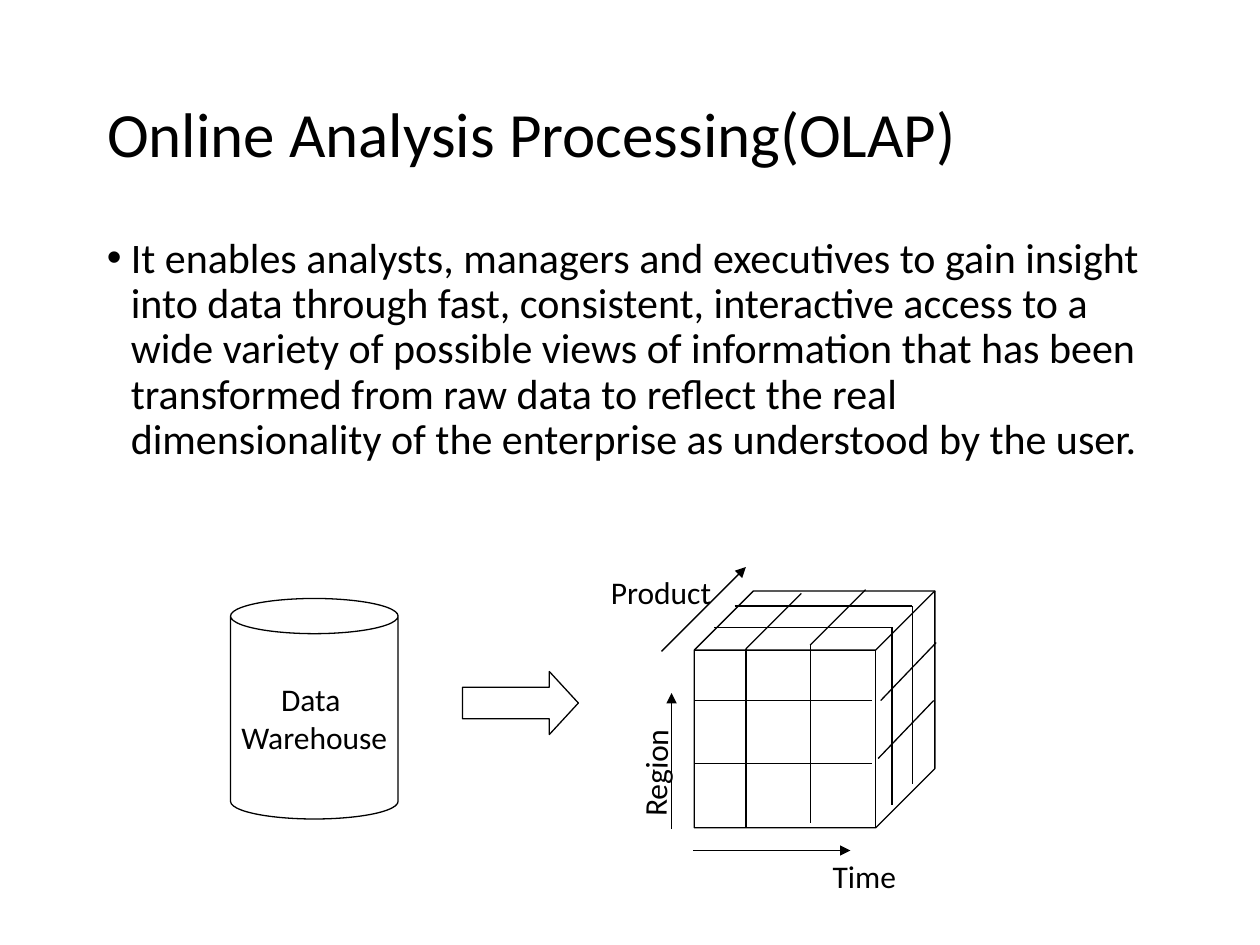
import pptx
import pptx.dml.color
import pptx.enum.shapes
import pptx.enum.text
import pptx.oxml
import pptx.oxml.ns
import pptx.util

COLUMNS, ROWS = 100, 75
INK = "000000"
SHAPES = pptx.enum.shapes.MSO_SHAPE
ALIGN = pptx.enum.text.PP_ALIGN
ANCHOR = pptx.enum.text.MSO_ANCHOR
AUTO_SIZE = pptx.enum.text.MSO_AUTO_SIZE


def color(value):
    return pptx.dml.color.RGBColor.from_string(value)


def add_element(parent, tag, **attributes):
    element = pptx.oxml.parse_xml(f"<a:{tag} {pptx.oxml.ns.nsdecls('a')}/>")
    for name, value in attributes.items():
        element.set(name, str(value))
    parent.append(element)


def write(frame, text, size=18, align=ALIGN.LEFT, anchor=ANCHOR.TOP,
          spacing=None, wrap=True, bullet=None):
    frame.word_wrap = wrap
    frame.auto_size = AUTO_SIZE.NONE
    frame.vertical_anchor = anchor
    for index, content in enumerate(text.split("\n")):
        paragraph = frame.add_paragraph() if index else frame.paragraphs[0]
        paragraph.text = content
        paragraph.alignment = align
        paragraph.line_spacing = spacing
        if bullet:
            properties = paragraph._p.get_or_add_pPr()
            indent = pptx.util.Inches(0.19)
            properties.set("marL", str(indent))
            properties.set("indent", str(-indent))
            add_element(properties, "buFont", typeface="Arial")
            add_element(properties, "buChar", char=bullet)
        paragraph.font.size = pptx.util.Pt(size)
        paragraph.font.name = "Calibri"
        paragraph.font.color.rgb = color(INK)


class Board:
    def __init__(self, deck):
        self.slide = deck.slides.add_slide(deck.slide_layouts[5])
        self.column = deck.slide_width / COLUMNS
        self.row = deck.slide_height / ROWS
        self.line_width = pptx.util.Pt(0.75)

    def place(self, *lengths):
        units = (self.column, self.row) * 2
        return [round(length * unit) for length, unit in zip(lengths, units)]

    def stroke(self, item):
        item.line.color.rgb = color(INK)
        item.line.width = self.line_width

    def title(self, text, *box):
        heading = self.slide.shapes.title
        heading.left, heading.top, heading.width, heading.height = self.place(*box)
        write(heading.text_frame, text, size=36, anchor=ANCHOR.MIDDLE, spacing=0.9)

    def text(self, text, *box, rotation=0, **style):
        label = self.slide.shapes.add_textbox(*self.place(*box))
        label.rotation = rotation
        write(label.text_frame, text, **style)

    def shape(self, kind, *box, adjustments=(), text=None):
        figure = self.slide.shapes.add_shape(kind, *self.place(*box))
        figure.shadow.inherit = False
        figure.fill.background()
        self.stroke(figure)
        for index, value in enumerate(adjustments):
            figure.adjustments[index] = value
        if text:
            write(figure.text_frame, text, align=ALIGN.CENTER,
                  anchor=ANCHOR.MIDDLE, wrap=False)

    def line(self, *ends, arrow=False):
        connector = self.slide.shapes.add_connector(
            pptx.enum.shapes.MSO_CONNECTOR.STRAIGHT, *self.place(*ends))
        self.stroke(connector)
        if arrow:
            add_element(connector.line._get_or_add_ln(), "tailEnd", type="triangle")
        add_element(connector._element.spPr, "effectLst")


def draw_cube(board):
    board.shape(SHAPES.CUBE, 55.1, 46.9, 19.1, 18.8, adjustments=[0.25])
    edge, depth = 14.1, 4.4
    for x, y in ((59.2, 51.5), (64.3, 51.2)):
        board.line(x, y, x, y + edge)
        board.line(x, y, x + depth, y - depth)
    for y in (55.6, 60.6):
        board.line(55.1, y, 55.1 + edge, y)
    for x, y in ((56.7, 49.8), (58.3, 48.1)):
        board.line(x, y, x + edge, y)
        board.line(x + edge, y, x + edge, y + edge)
    for x, y in ((69.9, 55.6), (69.7, 60.2)):
        board.line(x, y, x + depth, y - 4.6)


def draw_axes(board):
    for axis in ((55, 67.5, 67.5, 67.5), (53.3, 65.8, 53.3, 55), (52.5, 51.7, 59.2, 45)):
        board.line(*axis, arrow=True)
    board.text("Time", 65.1, 67.5, 9, 4)
    board.text("Product", 47.5, 45, 10, 4)
    board.text("Region", 47, 58.8, 10, 4, rotation=271.1)


def main():
    deck = pptx.Presentation()
    deck.slide_width = pptx.util.Inches(10)
    deck.slide_height = pptx.util.Inches(7.5)
    board = Board(deck)
    board.title("Online Analysis Processing(OLAP)", 7.5, 6.7, 85, 8.3)
    board.text(
        "It enables analysts, managers and executives to gain insight into data "
        "through fast, consistent, interactive access to a wide variety of possible "
        "views of information that has been transformed from raw data to reflect the "
        "real dimensionality of the enterprise as understood by the user.",
        7.5, 18.3, 85, 24.2, size=24, spacing=0.9, bullet="•")
    board.shape(SHAPES.CAN, 18.3, 47.5, 13.3, 17.5, adjustments=[0.21],
                text="Data \nWarehouse")
    draw_cube(board)
    draw_axes(board)
    board.shape(SHAPES.RIGHT_ARROW, 36.7, 53.3, 9.2, 5, adjustments=[0.5, 0.46])
    deck.save("out.pptx")


if __name__ == "__main__":
    main()
